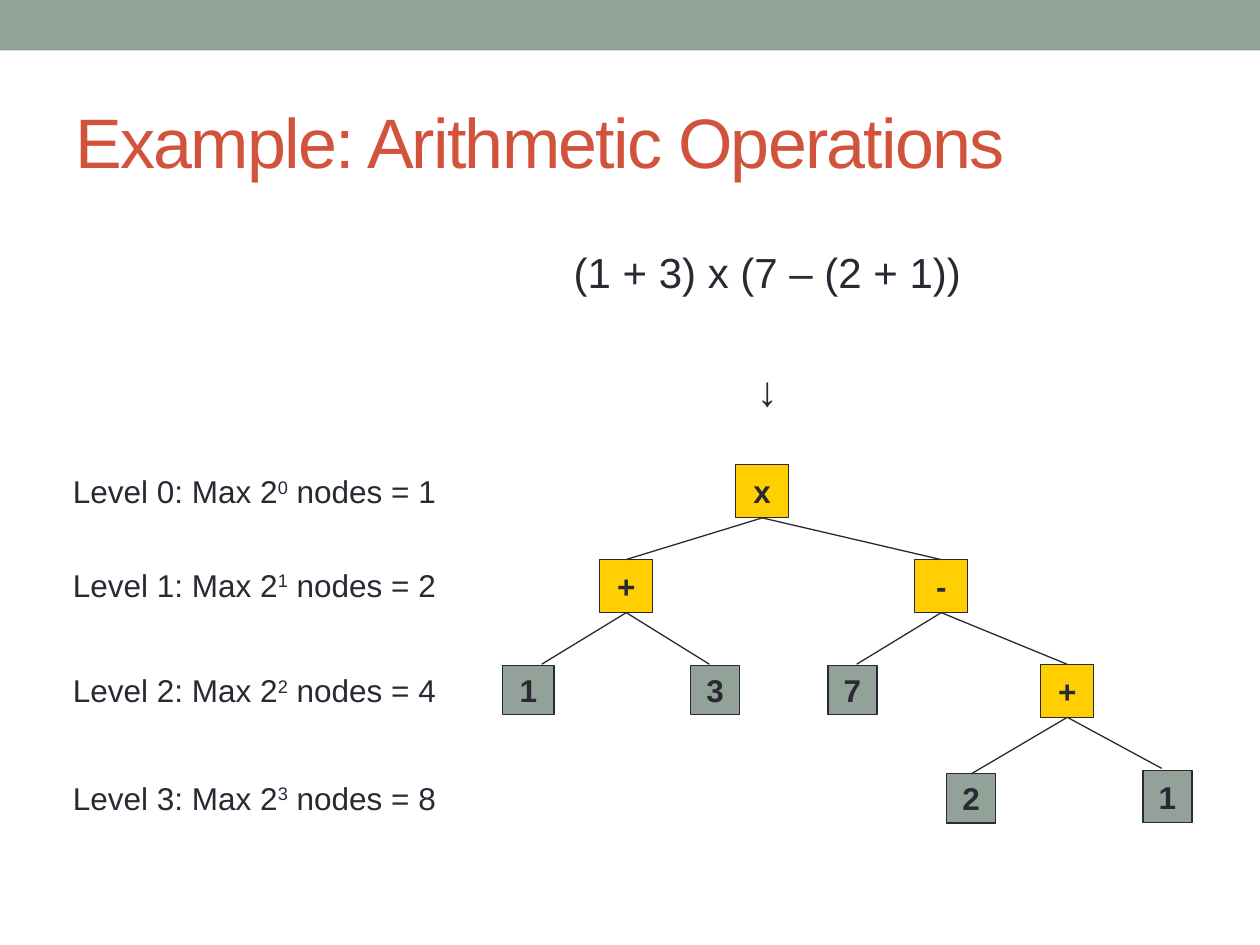
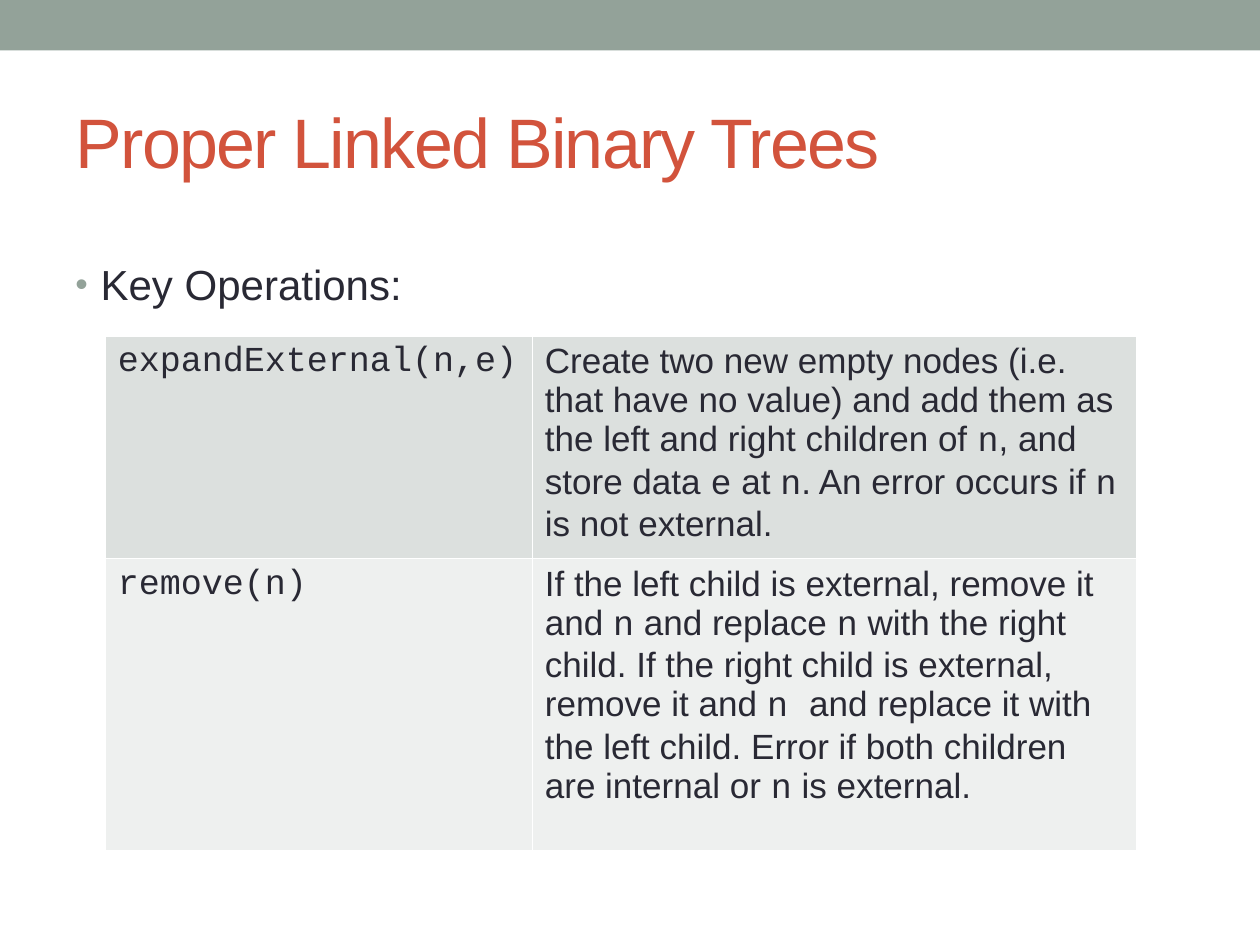
from lxml.etree import SubElement
from pptx import Presentation
from pptx.dml.color import RGBColor
from pptx.enum.shapes import MSO_CONNECTOR, MSO_SHAPE
from pptx.enum.text import MSO_ANCHOR, MSO_AUTO_SIZE, PP_ALIGN
from pptx.oxml.ns import qn
from pptx.util import Cm, Pt

SAGE = RGBColor(0x93, 0xA2, 0x99)
RUST = RGBColor(0xD2, 0x53, 0x3C)
INK = RGBColor(0x29, 0x29, 0x34)
YELLOW = RGBColor(0xFF, 0xCF, 0x01)
ROW_DARK = RGBColor(0xDC, 0xE0, 0xDE)
ROW_LIGHT = RGBColor(0xEE, 0xF0, 0xEF)
BODY_FONT = "Arial"
CODE_FONT = "Courier New"


def write(paragraph, text, size=18, font=BODY_FONT, color=INK, bold=False,
          align=PP_ALIGN.LEFT, tracking=0, baseline=0):
    paragraph.alignment = align
    run = paragraph.add_run()
    run.text = text
    run.font.size = Pt(size)
    run.font.name = font
    run.font.bold = bold
    run.font.color.rgb = color
    properties = run._r.get_or_add_rPr()
    if tracking:
        properties.set("spc", str(tracking * 100))
    if baseline:
        properties.set("baseline", str(baseline * 1000))


def add_text_frame(slide, left, top, width, height, wrap=True):
    frame = slide.shapes.add_textbox(Cm(left), Cm(top), Cm(width), Cm(height)).text_frame
    frame.word_wrap = wrap
    return frame


presentation = Presentation()
presentation.slide_width = Cm(25.4)
presentation.slide_height = Cm(19.05)

slides = []
for title_text in ("Example: Arithmetic Operations", "Proper Linked Binary Trees"):
    slide = presentation.slides.add_slide(presentation.slide_layouts[5])
    band = slide.shapes.add_shape(MSO_SHAPE.RECTANGLE, 0, 0, presentation.slide_width, Cm(1.02))
    band.shadow.inherit = False
    band.fill.solid()
    band.fill.fore_color.rgb = SAGE
    band.line.fill.background()
    title = slide.shapes.title
    title.left, title.top, title.width, title.height = Cm(1.27), Cm(1.47), Cm(22.86), Cm(2.74)
    title.text_frame.auto_size = MSO_AUTO_SIZE.NONE
    title.text_frame.vertical_anchor = MSO_ANCHOR.MIDDLE
    write(title.text_frame.paragraphs[0], title_text, size=40, color=RUST, tracking=-1)
    slides.append(slide)
tree_slide, operations_slide = slides

expression_frame = add_text_frame(tree_slide, 9.96, 3.56, 11.02, 5.46)
expression_frame.margin_top = Cm(1.4)
write(expression_frame.paragraphs[0], "(1 + 3) x (7 – (2 + 1))", size=24, align=PP_ALIGN.CENTER)
arrow_paragraph = expression_frame.add_paragraph()
arrow_paragraph.space_before = Pt(39)
write(arrow_paragraph, "↓", size=24, align=PP_ALIGN.CENTER)

nodes = [
    ("x", YELLOW, 14.83, 9.37, 1.07, 1.07),
    ("+", YELLOW, 12.09, 11.28, 1.07, 1.07),
    ("-", YELLOW, 18.44, 11.28, 1.07, 1.07),
    ("+", YELLOW, 20.98, 13.39, 1.07, 1.07),
    ("1", SAGE, 10.13, 13.41, 1.04, 0.99),
    ("3", SAGE, 13.92, 13.41, 0.99, 0.99),
    ("7", SAGE, 16.69, 13.41, 0.99, 0.99),
    ("2", SAGE, 19.08, 15.6, 0.99, 0.99),
    ("1", SAGE, 23.04, 15.54, 0.99, 1.04),
]
for symbol, fill_color, left, top, width, height in nodes:
    node = tree_slide.shapes.add_shape(
        MSO_SHAPE.RECTANGLE, Cm(left), Cm(top), Cm(width), Cm(height))
    node.shadow.inherit = False
    node.fill.solid()
    node.fill.fore_color.rgb = fill_color
    node.line.color.rgb = INK
    node.line.width = Pt(0.75)
    node.text_frame.vertical_anchor = MSO_ANCHOR.MIDDLE
    write(node.text_frame.paragraphs[0], symbol, bold=True, align=PP_ALIGN.CENTER)

edges = [
    (0, 12.62, 11.28), (0, 18.97, 11.28),
    (1, 10.92, 13.39), (1, 14.3, 13.39),
    (2, 17.27, 13.39), (2, 21.51, 13.39),
    (3, 19.58, 15.6), (3, 23.42, 15.49),
]
for parent, end_x, end_y in edges:
    symbol, fill_color, left, top, width, height = nodes[parent]
    edge = tree_slide.shapes.add_connector(
        MSO_CONNECTOR.STRAIGHT, Cm(left + width / 2), Cm(top + height), Cm(end_x), Cm(end_y))
    edge.line.color.rgb = INK
    edge.line.width = Pt(0.75)
    SubElement(edge._element.spPr, qn("a:effectLst"))

for level, top in enumerate((9.4, 11.28, 13.41, 15.57)):
    level_frame = add_text_frame(tree_slide, 1.17, top, 7.92, 1.02, wrap=False)
    paragraph = level_frame.paragraphs[0]
    write(paragraph, f"Level {level}: Max 2", align=PP_ALIGN.CENTER)
    write(paragraph, str(level), baseline=30, align=PP_ALIGN.CENTER)
    write(paragraph, f" nodes = {2 ** level}", align=PP_ALIGN.CENTER)

heading_frame = add_text_frame(operations_slide, 1.27, 4.45, 22.86, 2.08)
heading_frame.margin_top = Cm(0.77)
heading = heading_frame.paragraphs[0]
heading_properties = heading._p.get_or_add_pPr()
heading_properties.set("marL", str(Cm(0.51)))
heading_properties.set("indent", str(-Cm(0.51)))
bullet_color = SubElement(heading_properties, qn("a:buClr"))
SubElement(bullet_color, qn("a:srgbClr"), val=str(SAGE))
SubElement(heading_properties, qn("a:buSzPct"), val="85000")
SubElement(heading_properties, qn("a:buFont"), typeface=BODY_FONT)
SubElement(heading_properties, qn("a:buChar"), char="•")
write(heading, "Key Operations:", size=24)

operations = [
    ("`expandExternal(n,e)`",
     "Create two new empty nodes (i.e. that have no value) and add them as the left and right "
     "children of `n`, and store data `e` at `n`. An error occurs if `n` is not external."),
    ("`remove(n)`",
     "If the left child is external, remove it and `n` and replace `n` with the right child. "
     "If the right child is external, remove it and `n `and replace it with the left child. "
     "Error if both children are internal or `n` is external."),
]
table = operations_slide.shapes.add_table(
    2, 2, Cm(2.12), Cm(6.77), Cm(20.8), Cm(10.16)).table
table.first_row = False
table.horz_banding = False
for column, width in zip(table.columns, (8.61, 12.19)):
    column.width = Cm(width)
for row, height, fill_color, texts in zip(
        table.rows, (4.27, 5.89), (ROW_DARK, ROW_LIGHT), operations):
    row.height = Cm(height)
    for cell, text in zip(row.cells, texts):
        cell_properties = cell._tc.get_or_add_tcPr()
        for side in ("lnL", "lnR", "lnT", "lnB"):
            border = SubElement(cell_properties, qn(f"a:{side}"), w=str(Pt(1)))
            border_fill = SubElement(border, qn("a:solidFill"))
            SubElement(border_fill, qn("a:srgbClr"), val="FFFFFF")
        cell.fill.solid()
        cell.fill.fore_color.rgb = fill_color
        for index, part in enumerate(text.split("`")):
            if part:
                write(cell.text_frame.paragraphs[0], part, size=20,
                      font=CODE_FONT if index % 2 else BODY_FONT)

presentation.save("out.pptx")
